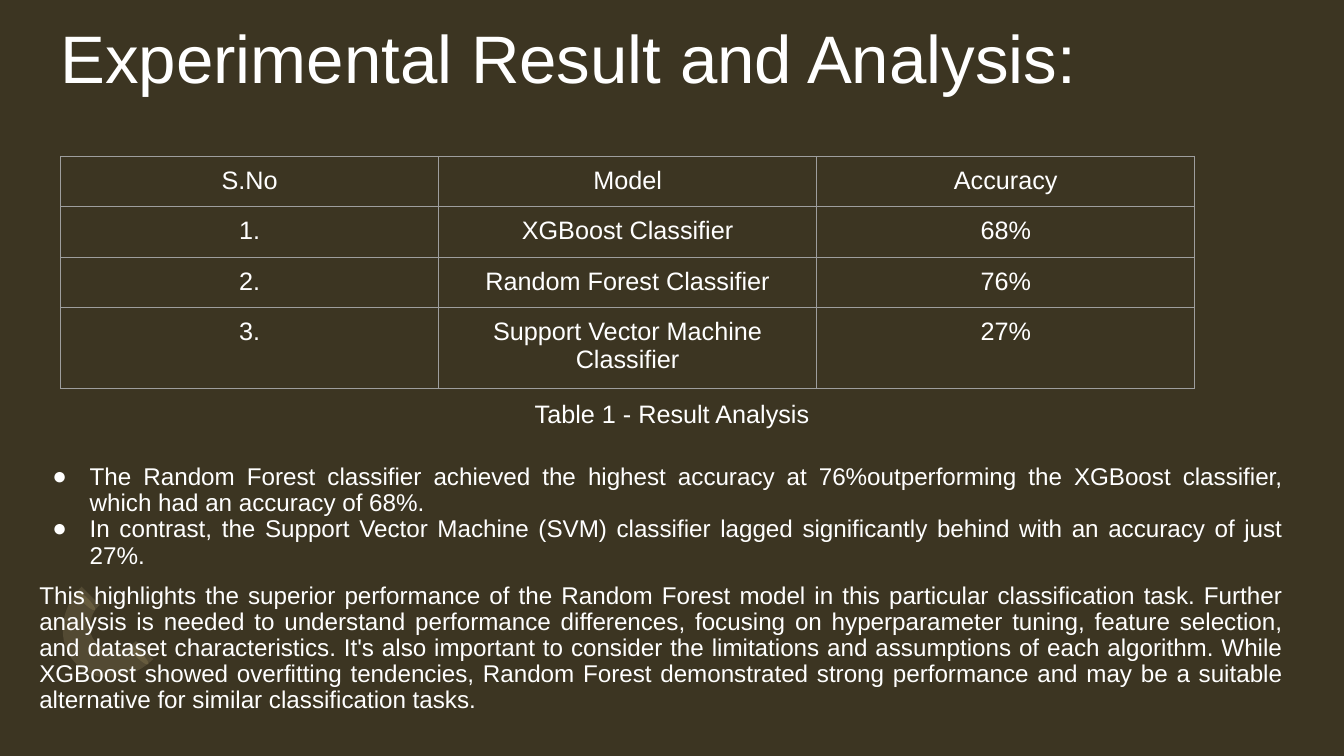
from lxml.etree import SubElement
from pptx import Presentation
from pptx.dml.color import RGBColor
from pptx.enum.shapes import MSO_SHAPE as Shape
from pptx.enum.text import MSO_ANCHOR as Anchor, PP_ALIGN as Align
from pptx.oxml.ns import qn
from pptx.util import Inches, Pt

BACKDROP = RGBColor(0x3C, 0x35, 0x22)
WHITE = RGBColor(0xFF, 0xFF, 0xFF)
TIP = RGBColor(0x55, 0x4B, 0x30)
ARC = RGBColor(0xB3, 0xA2, 0x7A)
GRID = RGBColor(0x9E, 0x9E, 0x9E)

RESULTS = [
    ("S.No", "Model", "Accuracy"),
    ("1.", "XGBoost Classifier", "68%"),
    ("2.", "Random Forest Classifier", "76%"),
    ("3.", "Support Vector Machine Classifier", "27%"),
]
ROW_HEIGHTS = (0.48, 0.48, 0.48, 0.76)
FINDINGS = [
    "The Random Forest classifier achieved the highest accuracy at 76%outperforming "
    "the XGBoost classifier, which had an accuracy of 68%.",
    "In contrast, the Support Vector Machine (SVM) classifier lagged significantly "
    "behind with an accuracy of just 27%.",
]
CONCLUSION = (
    "This highlights the superior performance of the Random Forest model in this "
    "particular classification task. Further analysis is needed to understand "
    "performance differences, focusing on hyperparameter tuning, feature selection, "
    "and dataset characteristics. It's also important to consider the limitations and "
    "assumptions of each algorithm. While XGBoost showed overfitting tendencies, "
    "Random Forest demonstrated strong performance and may be a suitable alternative "
    "for similar classification tasks."
)
OUTER_LEFT = [(0.76, 6.59), (0.56, 6.39), (0.58, 6.05), (0.81, 5.82)]
INNER_LEFT = [(0.99, 6), (0.87, 6.11), (0.86, 6.29), (0.96, 6.38)]
INNER_RIGHT = [(0.96, 6.38), (1.06, 6.48), (1.23, 6.47), (1.35, 6.36)]
OUTER_RIGHT = [(1.52, 6.54), (1.3, 6.76), (0.95, 6.79), (0.76, 6.59)]


def assign(target, values):
    for name, value in values.items():
        setattr(target, name, value)


def curve(controls, steps=12):
    points = []
    for step in range(steps + 1):
        t = step / steps
        weights = ((1 - t) ** 3, 3 * t * (1 - t) ** 2, 3 * t * t * (1 - t), t ** 3)
        points.append(tuple(Inches(sum(w * c for w, c in zip(weights, axis)))
                            for axis in zip(*controls)))
    return points


class ResultSlide:
    """Holds the deck style and draws each kind of element on the slide."""

    font_name = "Arial"

    def __init__(self, deck):
        self.slide = deck.slides.add_slide(deck.slide_layouts[6])
        backdrop = self.slide.background.fill
        backdrop.solid()
        backdrop.fore_color.rgb = BACKDROP

    def paragraph(self, paragraph, wording, size, bullet=False, **layout):
        paragraph.text = wording
        if bullet:
            self.bullet(paragraph)
        assign(paragraph, layout)
        assign(paragraph.font, {"name": self.font_name, "size": Pt(size)})
        paragraph.font.color.rgb = WHITE

    def bullet(self, paragraph):
        props = paragraph._p.get_or_add_pPr()
        props.set("marL", str(Inches(0.5)))
        props.set("indent", str(Inches(-0.37)))
        SubElement(SubElement(props, qn("a:buClr")), qn("a:srgbClr"), val=str(WHITE))
        SubElement(props, qn("a:buFont"), typeface=self.font_name)
        SubElement(props, qn("a:buChar"), char="●")

    def text(self, box, paragraphs, inset=0, anchor=Anchor.TOP):
        frame = self.slide.shapes.add_textbox(*map(Inches, box)).text_frame
        assign(frame, {"word_wrap": True, "vertical_anchor": anchor})
        self.margins(frame, inset)
        for index, values in enumerate(paragraphs):
            target = frame.add_paragraph() if index else frame.paragraphs[0]
            self.paragraph(target, **values)

    def margins(self, holder, inset):
        sides = ("left", "top", "right", "bottom")
        assign(holder, {f"margin_{side}": Inches(inset) for side in sides})

    def paint(self, shape, color):
        shape.shadow.inherit = False
        shape.fill.solid()
        shape.fill.fore_color.rgb = color
        shape.line.fill.background()

    def tip(self, left, top):
        tip = self.slide.shapes.add_shape(
            Shape.OVAL, *map(Inches, (left, top, 0.06, 0.26)))
        tip.rotation = 315
        self.paint(tip, TIP)

    def arc(self, curves, opacity):
        start, *rest = [point for controls in curves for point in curve(controls)]
        builder = self.slide.shapes.build_freeform(*start)
        builder.add_line_segments(rest, close=True)
        arc = builder.convert_to_shape()
        self.paint(arc, ARC)
        color = arc._element.spPr.find(f"{qn('a:solidFill')}/{qn('a:srgbClr')}")
        SubElement(color, qn("a:alpha"), val=str(opacity * 1000))

    def table(self, left, top, column_width, row_heights, rows):
        table = self.slide.shapes.add_table(
            len(rows), len(rows[0]), Inches(left), Inches(top),
            Inches(column_width * len(rows[0])), Inches(sum(row_heights))).table
        assign(table, {"first_row": False, "horz_banding": False})
        for column in table.columns:
            column.width = Inches(column_width)
        for row, height, wordings in zip(table.rows, row_heights, rows):
            row.height = Inches(height)
            for cell, wording in zip(row.cells, wordings):
                self.margins(cell, 0.1)
                self.borders(cell)
                cell.fill.background()
                self.paragraph(cell.text_frame.paragraphs[0], wording, 18,
                               alignment=Align.CENTER)

    def borders(self, cell):
        props = cell._tc.get_or_add_tcPr()
        for side in "LRTB":
            edge = SubElement(props, qn(f"a:ln{side}"), w=str(Pt(0.75)))
            SubElement(SubElement(edge, qn("a:solidFill")), qn("a:srgbClr"),
                       val=str(GRID))


def main():
    deck = Presentation()
    assign(deck, {"slide_width": Inches(13.33), "slide_height": Inches(7.5)})
    page = ResultSlide(deck)
    page.tip(1.35, 6.37)
    page.tip(0.82, 5.83)
    page.arc([OUTER_LEFT, INNER_LEFT, INNER_RIGHT, OUTER_RIGHT], opacity=20)

    title = {"wording": "Experimental Result and Analysis:", "size": 48,
             "line_spacing": 0.9}
    page.text((0.6, 0.13, 12.13, 0.96), [title], anchor=Anchor.MIDDLE)

    body = {"size": 17.3, "alignment": Align.JUSTIFY, "line_spacing": 0.9}
    analysis = [{"wording": finding, "bullet": True, **body} for finding in FINDINGS]
    analysis.append({"wording": CONCLUSION, "space_before": Pt(10),
                     "space_after": Pt(8), **body})
    page.text((0.39, 4.61, 12.34, 2.25), analysis)

    page.table(0.6, 1.55, 3.75, ROW_HEIGHTS, RESULTS)
    caption = {"wording": "Table 1 - Result Analysis", "size": 18,
               "alignment": Align.CENTER}
    page.text((4.74, 3.85, 3.85, 0.31), [caption], inset=0.1)
    deck.save("out.pptx")


if __name__ == "__main__":
    main()
